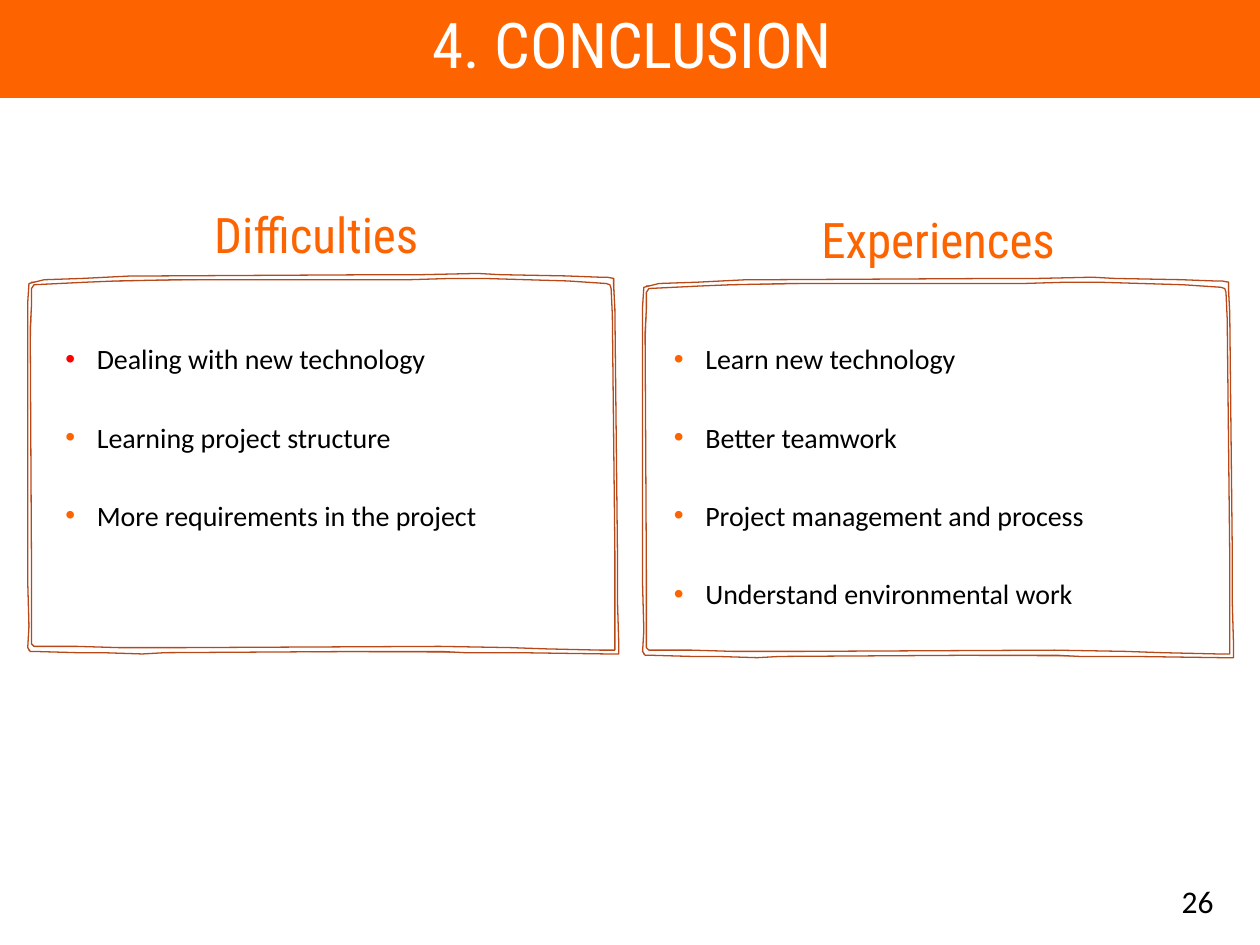
from dataclasses import dataclass

from lxml import etree
from pptx import Presentation
from pptx.dml.color import RGBColor
from pptx.enum.shapes import MSO_SHAPE
from pptx.enum.text import MSO_ANCHOR, PP_ALIGN
from pptx.oxml.ns import qn
from pptx.util import Inches, Pt

RECT = MSO_SHAPE.RECTANGLE
TOP, MIDDLE = MSO_ANCHOR.TOP, MSO_ANCHOR.MIDDLE
LEFT, CENTER, RIGHT = PP_ALIGN.LEFT, PP_ALIGN.CENTER, PP_ALIGN.RIGHT

ORANGE = RGBColor(0xFD, 0x64, 0x00)
RUST = RGBColor(0xB7, 0x49, 0x19)
RED = RGBColor(0xFF, 0x00, 0x00)
WHITE = RGBColor(0xFF, 0xFF, 0xFF)
BLACK = RGBColor(0x00, 0x00, 0x00)
HEAD, BODY = "Roboto Condensed", "Calibri"

Points = list[tuple[float, float]]
Box = tuple[float, float, float, float]

# Hand-drawn frame of the left panel, in inches
BACK: Points = [(4.89, 5.18), (0.23, 5.16), (0.23, 3.26), (0.25, 2.24),
                (2.55, 2.2), (4.87, 2.21)]
OUTER: Points = [
    (4.87, 2.21), (4.87, 2.27), (4.88, 2.45), (4.9, 4.35), (4.9, 4.75),
    (4.91, 5.09), (4.91, 5.19), (4.82, 5.19), (4.11, 5.18), (3.69, 5.18),
    (3.5, 5.17), (2.9, 5.17), (1.31, 5.18), (1.13, 5.19), (0.81, 5.18),
    (0.61, 5.18), (0.27, 5.17), (0.24, 5.17), (0.22, 5.14), (0.23, 4.97),
    (0.22, 4.62), (0.22, 2.49), (0.22, 2.4), (0.23, 2.25), (0.35, 2.22),
    (0.65, 2.21), (1.05, 2.19), (1.26, 2.19), (3.08, 2.18), (3.35, 2.18),
    (3.79, 2.17), (3.97, 2.18), (4.49, 2.19), (4.76, 2.2), (4.82, 2.2)]
INNER: Points = [
    (4.88, 5.16), (4.88, 5.09), (4.88, 4.38), (4.86, 2.5), (4.85, 2.29),
    (4.84, 2.26), (4.81, 2.25), (4.51, 2.23), (3.84, 2.21), (3.58, 2.21),
    (3.24, 2.22), (1.4, 2.22), (0.92, 2.23), (0.68, 2.24), (0.27, 2.26),
    (0.25, 2.29), (0.25, 2.42), (0.24, 2.61), (0.25, 4.51), (0.25, 5.11),
    (0.27, 5.13), (0.61, 5.13), (0.94, 5.14), (1.47, 5.14), (3.49, 5.13),
    (4.05, 5.14), (4.34, 5.15), (4.77, 5.16)]


@dataclass
class Panel:
    title: str
    items: list[str]
    dots: list[RGBColor]
    shift: tuple[float, float]
    head: Box
    body: Box


PANELS = [
    Panel("Difficulties",
          ["Dealing with new technology", "Learning project structure",
           "More requirements in the project"],
          [RED, ORANGE, ORANGE], (0, 0),
          (0.19, 1.63, 4.64, 0.51), (0.42, 2.53, 4.28, 3.87)),
    Panel("Experiences",
          ["Learn new technology", "Better teamwork",
           "Project management and process", "Understand environmental work"],
          [ORANGE] * 4, (4.88, 0.03),
          (5.15, 1.67, 4.59, 0.51), (5.25, 2.53, 4.33, 3.87)),
]


def paint(shape, fill: RGBColor, line: RGBColor, width: float) -> None:
    shape.shadow.inherit = False
    shape.fill.solid()
    shape.fill.fore_color.rgb = fill
    shape.line.color.rgb = line
    shape.line.width = Pt(width)


def add_dot(para, color: RGBColor) -> None:
    """Give the paragraph a coloured bullet and a hanging indent."""
    props = para._p.get_or_add_pPr()
    props.set("marL", str(Inches(0.25)))
    props.set("indent", str(Inches(-0.25)))
    tint = etree.SubElement(props, qn("a:buClr"))
    etree.SubElement(tint, qn("a:srgbClr")).set("val", str(color))
    etree.SubElement(props, qn("a:buFont")).set("typeface", "Arial")
    etree.SubElement(props, qn("a:buChar")).set("char", "•")


def add_text(slide, box: Box, lines: list[str], *, size: float, font: str,
             color: RGBColor, align=LEFT, anchor=TOP, space: float = 1,
             before: float = 0, after: float = 0,
             dots: list[RGBColor] | None = None) -> None:
    frame = slide.shapes.add_textbox(*map(Inches, box)).text_frame
    frame.word_wrap = True
    frame.vertical_anchor = anchor
    for i, line in enumerate(lines):
        para = frame.add_paragraph() if i else frame.paragraphs[0]
        para.alignment = align
        para.line_spacing = space
        para.space_before, para.space_after = Pt(before), Pt(after)
        if dots:
            add_dot(para, dots[i])
        run = para.add_run()
        run.text = line
        run.font.size, run.font.name = Pt(size), font
        run.font.color.rgb = color


def add_free(shapes, loops: list[Points], shift: tuple[float, float]) -> None:
    """Draw closed loops as one outline, moved by shift."""
    dx, dy = shift
    moved = [[(Inches(x + dx), Inches(y + dy)) for x, y in loop]
             for loop in loops]
    pen = shapes.build_freeform(*moved[0][0])
    for i, loop in enumerate(moved):
        if i:
            pen.move_to(*loop[0])
        pen.add_line_segments(loop[1:], close=True)
    paint(pen.convert_to_shape(), WHITE, RUST, 0.75)


def add_panel(slide, panel: Panel) -> None:
    group = slide.shapes.add_group_shape()
    add_free(group.shapes, [BACK], panel.shift)
    add_free(group.shapes, [OUTER, INNER], panel.shift)
    add_text(slide, panel.head, [panel.title], size=28, font=HEAD,
             color=ORANGE, align=CENTER, space=0.9, before=10)
    add_text(slide, panel.body, panel.items, size=16, font=BODY, color=BLACK,
             space=1.5, before=10, after=6, dots=panel.dots)


def main() -> None:
    deck = Presentation()
    deck.slide_width, deck.slide_height = Inches(10), Inches(7.5)
    slide = deck.slides.add_slide(deck.slide_layouts[6])
    band = slide.shapes.add_shape(
        RECT, Inches(0), Inches(-0.01), Inches(10), Inches(0.78))
    paint(band, ORANGE, ORANGE, 1)
    add_text(slide, (0.3, 0, 9.44, 0.77), ["4. CONCLUSION"], size=36,
             font=HEAD, color=WHITE, align=CENTER, anchor=MIDDLE,
             space=0.9, before=10)
    add_text(slide, (7.06, 6.95, 2.67, 0.4), ["26"], size=18, font=BODY,
             color=BLACK, align=RIGHT, anchor=MIDDLE)
    for panel in PANELS:
        add_panel(slide, panel)
    deck.save("out.pptx")


if __name__ == "__main__":
    main()
